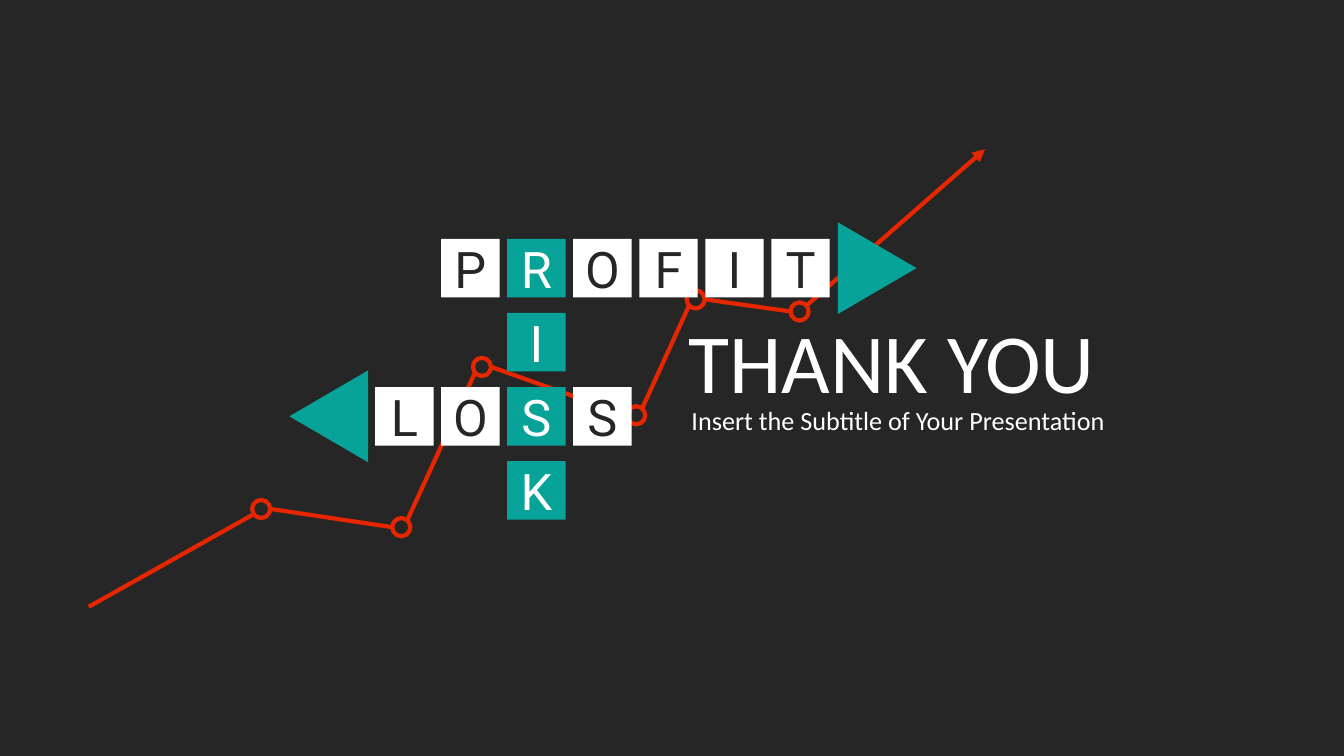
"""Build a closing slide with a profit, loss and risk crossword over a trend line."""
from lxml import etree
from pptx import Presentation
from pptx.dml.color import RGBColor
from pptx.enum.shapes import MSO_CONNECTOR as CONN, MSO_SHAPE as SHAPE
from pptx.enum.text import MSO_ANCHOR as ANCHOR, PP_ALIGN as ALIGN
from pptx.oxml.ns import qn
from pptx.util import Inches, Pt

DARK = RGBColor(0x26, 0x26, 0x26)
WHITE = RGBColor(0xFF, 0xFF, 0xFF)
TEAL = RGBColor(0x07, 0xA3, 0x98)
RED = RGBColor(0xE6, 0x26, 0x01)

GRID_LEFT, GRID_TOP = 3.72, 2.37
COL, ROW, TILE = 0.655, 0.735, 0.58
RISK_COL = 2
ARROW_W, ARROW_H = 0.91, 0.78
MARKER = 0.18

MARKERS = [(2.5, 4.96), (3.89, 5.14), (4.69, 3.55),
           (6.22, 4.03), (6.81, 2.88), (7.84, 3)]
SEGMENTS = [(0.88, 6.02, 2.5, 5.11), (2.69, 5.05, 3.89, 5.23),
            (4.04, 5.16, 4.71, 3.7), (4.87, 3.64, 6.22, 4.12),
            (6.37, 4.05, 6.83, 3.04), (6.99, 2.97, 7.84, 3.09),
            (8, 3.03, 9.77, 1.48)]


def style_text(tf, text, font, size, color):
    tf.text = text
    tf.vertical_anchor = ANCHOR.MIDDLE
    f = tf.paragraphs[0].runs[0].font
    f.name, f.size, f.color.rgb = font, Pt(size), color


def add_filled(shapes, kind, x, y, w, h, color):
    sp = shapes.add_shape(kind, Inches(x), Inches(y), Inches(w), Inches(h))
    sp.shadow.inherit = False
    sp.fill.solid()
    sp.fill.fore_color.rgb = color
    sp.line.fill.background()
    return sp


def add_tile(shapes, letter, col, row):
    on_risk = col == RISK_COL
    sp = add_filled(shapes, SHAPE.RECTANGLE, GRID_LEFT + col * COL,
                    GRID_TOP + row * ROW, TILE, TILE, TEAL if on_risk else WHITE)
    tf = sp.text_frame
    tf.margin_left = tf.margin_right = tf.margin_top = tf.margin_bottom = 0
    style_text(tf, letter, "Roboto", 36, WHITE if on_risk else DARK)
    tf.paragraphs[0].alignment = ALIGN.CENTER


def add_word_arrow(shapes, center_x, row, rotation):
    center_y = GRID_TOP + row * ROW + TILE / 2
    sp = add_filled(shapes, SHAPE.ISOSCELES_TRIANGLE, center_x - ARROW_W / 2,
                    center_y - ARROW_H / 2, ARROW_W, ARROW_H, TEAL)
    sp.rotation = rotation


def add_marker(shapes, x, y):
    sp = shapes.add_shape(SHAPE.OVAL, Inches(x), Inches(y),
                          Inches(MARKER), Inches(MARKER))
    sp.shadow.inherit = False
    sp.fill.background()
    sp.line.color.rgb, sp.line.width = RED, Pt(3)


def add_segment(shapes, *ends):
    line = shapes.add_connector(CONN.STRAIGHT, *map(Inches, ends))
    line.line.color.rgb, line.line.width = RED, Pt(3)
    etree.SubElement(line._element.spPr, qn("a:effectLst"))
    return line


def add_arrowhead(line):
    ln = line.line._get_or_add_ln()
    etree.SubElement(ln, qn("a:tailEnd"), type="triangle")


def add_label(shapes, text, x, y, w, h, size):
    tf = shapes.add_textbox(Inches(x), Inches(y), Inches(w), Inches(h)).text_frame
    tf.word_wrap = True
    style_text(tf, text, "Calibri", size, WHITE)


def add_trend(shapes):
    for marker in MARKERS:
        add_marker(shapes, *marker)
    lines = [add_segment(shapes, *ends) for ends in SEGMENTS]
    add_arrowhead(lines[-1])


def add_crossword(shapes):
    for word, first_col, row in (("PROFIT", 1, 0), ("LOSS", 0, 2)):
        for col, letter in enumerate(word, first_col):
            if col != RISK_COL:
                add_tile(shapes, letter, col, row)
    for row, letter in enumerate("RISK"):
        add_tile(shapes, letter, RISK_COL, row)
    add_word_arrow(shapes, 8.7, 0, 90)
    add_word_arrow(shapes, 3.26, 2, 270)


def main():
    prs = Presentation()
    prs.slide_width, prs.slide_height = Inches(13.33), Inches(7.5)
    s = prs.slides.add_slide(prs.slide_layouts[6])
    s.background.fill.solid()
    s.background.fill.fore_color.rgb = DARK
    add_trend(s.shapes.add_group_shape().shapes)
    titles = s.shapes.add_group_shape().shapes
    add_label(titles, "THANK YOU", 6.73, 3.02, 5.22, 1.11, 60)
    add_label(titles, "Insert the Subtitle of Your Presentation",
              6.76, 3.96, 5.22, 0.42, 18.7)
    add_crossword(s.shapes.add_group_shape().shapes)
    prs.save("out.pptx")


if __name__ == "__main__":
    main()
